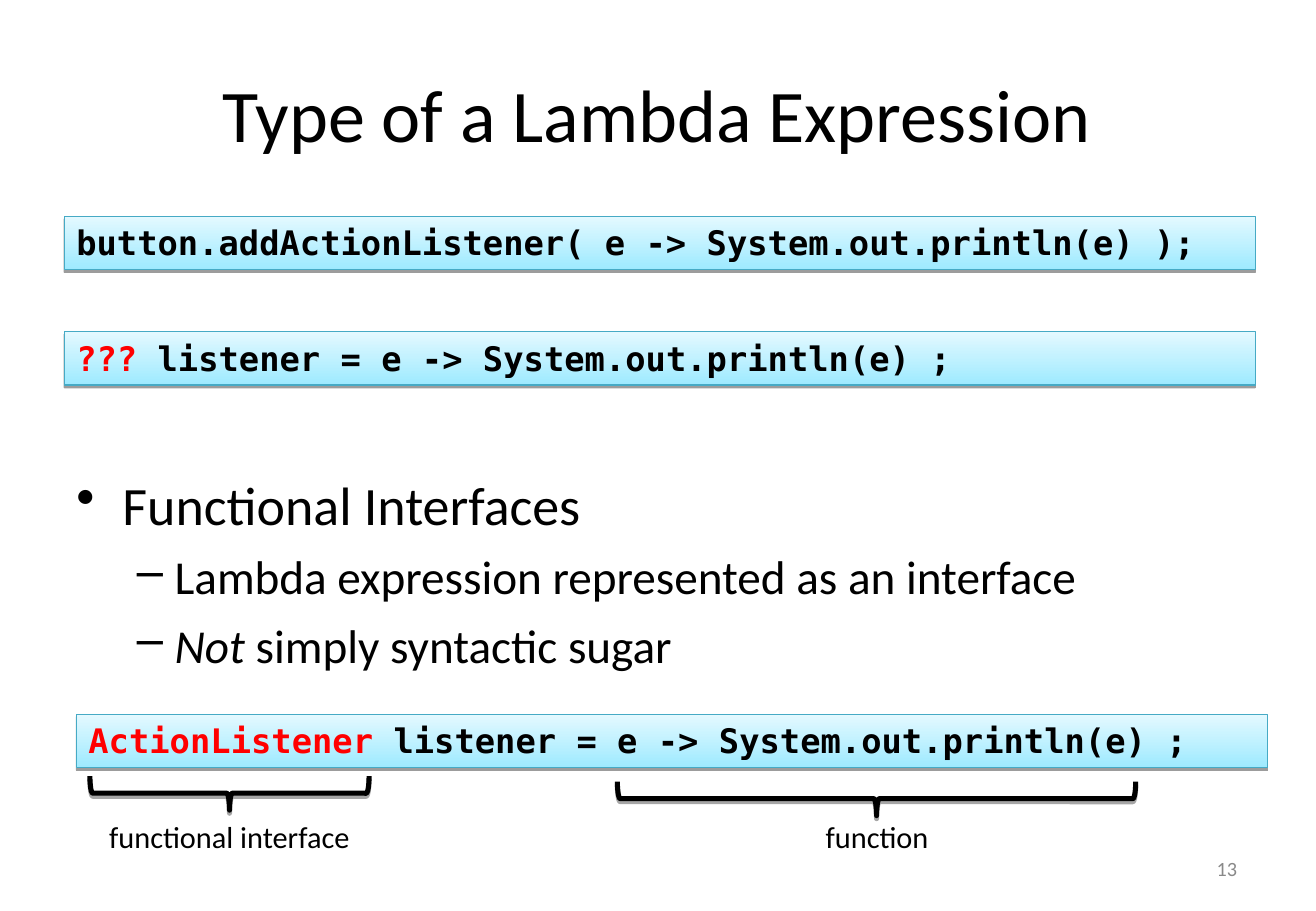
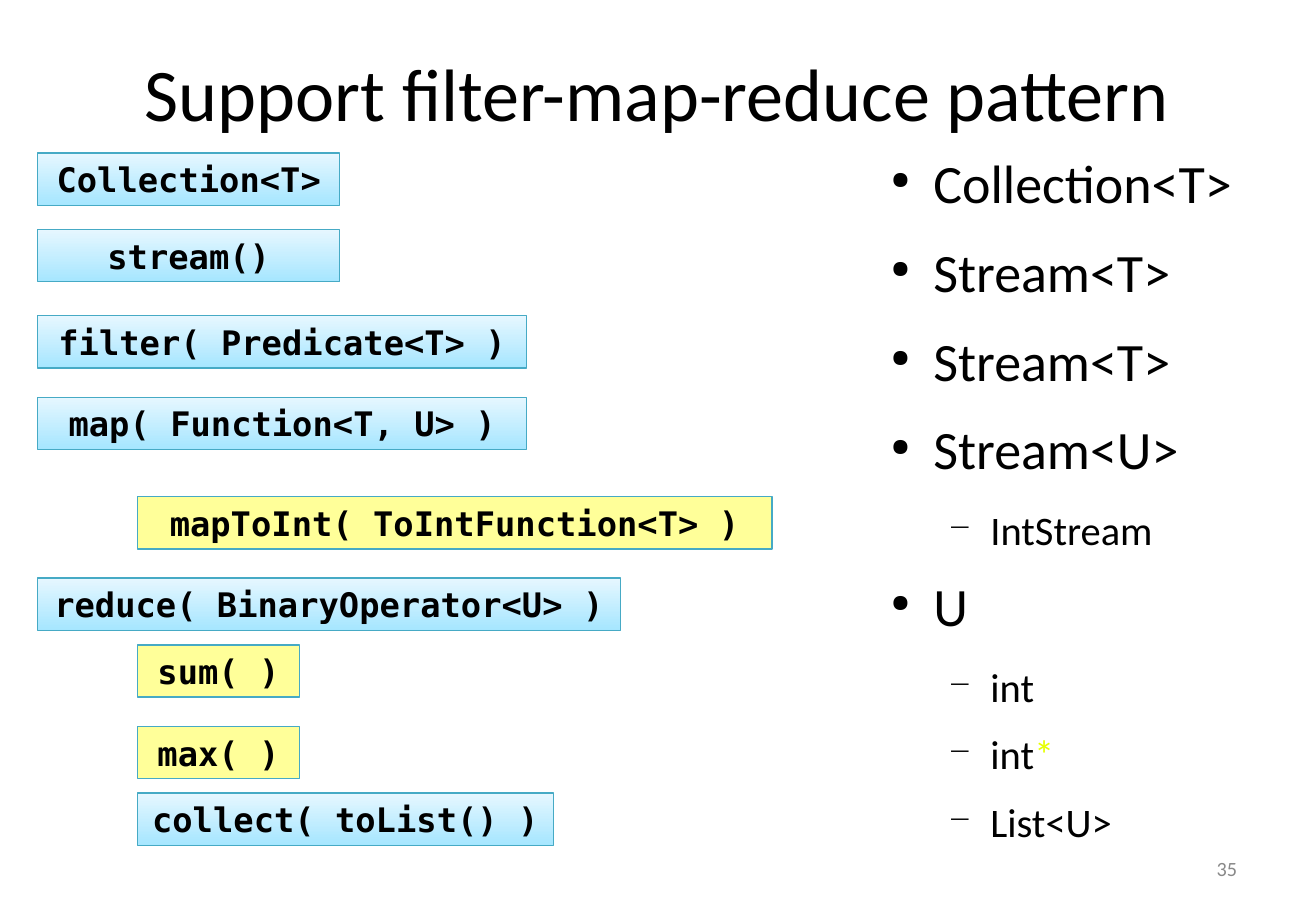
from dataclasses import dataclass
from typing import Optional

import pptx
import pptx.dml.color
import pptx.enum.shapes
import pptx.enum.text
import pptx.oxml.ns
import pptx.util
from lxml import etree

RGB = pptx.dml.color.RGBColor
ALIGN = pptx.enum.text.PP_ALIGN
ANCHOR = pptx.enum.text.MSO_ANCHOR
SHAPE = pptx.enum.shapes.MSO_SHAPE

PX = 9144  # 100 px to the inch
WIDE, HIGH = 1084, 750

BLACK = RGB(0x00, 0x00, 0x00)
RED = RGB(0xFF, 0x00, 0x00)
LIME = RGB(0xE6, 0xFF, 0x00)
GREY = RGB(0x89, 0x89, 0x89)
TEAL = RGB(0x46, 0xAA, 0xC5)
YELLOW = RGB(0xFF, 0xFF, 0x99)
AQUA = (RGB(0xE4, 0xF9, 0xFF), RGB(0x9E, 0xEA, 0xFF))
SKY = (RGB(0xE6, 0xF7, 0xFF), RGB(0xA6, 0xE6, 0xFF))

SANS, MONO = "Calibri", "DejaVu Sans Mono"


@dataclass(frozen=True)
class Run:
    text: str
    color: Optional[RGB] = None
    italic: bool = False


@dataclass(frozen=True)
class Style:
    size: int
    font: str = SANS
    color: RGB = BLACK
    bold: bool = False
    align: ALIGN = ALIGN.LEFT


@dataclass(frozen=True)
class Bullet:
    mark: str
    left: int
    hang: int
    size: int
    scale: int = 100
    before: float = 0
    after: float = 0
    level: int = 0


@dataclass(frozen=True)
class Item:
    bullet: Bullet
    runs: tuple[Run, ...]


@dataclass(frozen=True)
class Code:
    x: int
    y: int
    width: int
    runs: tuple[Run, ...]
    fill: object = SKY


@dataclass(frozen=True)
class Brace:
    x: int
    y: int
    width: int
    label: str


TITLE = Style(44, align=ALIGN.CENTER)
LABEL = Style(18, align=ALIGN.CENTER)
PAGE = Style(12, color=GREY, align=ALIGN.RIGHT)

POINT = Bullet("•", 38, 38, 32, before=8)
DASH = Bullet("–", 81, 31, 28, before=7, level=1)
DOT = Bullet("●", 47, 35, 32, scale=45, after=14.3)
MINUS = Bullet("−", 94, 35, 24, scale=75, after=11.4, level=1)

LISTENER = Run(" listener = e -> System.out.println(e) ;")
LINES = (
    Code(53, 178, 981, (Run("button.addActionListener( e -> System.out.println(e) );"),), AQUA),
    Code(53, 273, 981, (Run("???", RED), LISTENER), AQUA),
    Code(63, 588, 981, (Run("ActionListener", RED), LISTENER), AQUA),
)
BRACES = (
    Brace(74, 639, 230, "functional interface"),
    Brace(509, 643, 427, "function"),
)
FACES = (
    Item(POINT, (Run("Functional Interfaces"),)),
    Item(DASH, (Run("Lambda expression represented as an interface"),)),
    Item(DASH, (Run("Not", italic=True), Run(" simply syntactic sugar"))),
)

EDGE, INSET = 31, 113
STEPS = (
    Code(EDGE, 126, 249, (Run("Collection<T>"),)),
    Code(EDGE, 189, 249, (Run("stream()"),)),
    Code(EDGE, 260, 403, (Run("filter( Predicate<T> )"),)),
    Code(EDGE, 327, 403, (Run("map( Function<T, U> )"),)),
    Code(INSET, 409, 523, (Run("mapToInt( ToIntFunction<T> )"),), YELLOW),
    Code(EDGE, 476, 480, (Run("reduce( BinaryOperator<U> )"),)),
    Code(INSET, 531, 134, (Run("sum( )"),), YELLOW),
    Code(INSET, 598, 134, (Run("max( )"),), YELLOW),
    Code(INSET, 653, 343, (Run("collect( toList() )"),)),
)
TYPES = (
    Item(DOT, (Run("Collection<T>"),)),
    Item(DOT, (Run("Stream<T>"),)),
    Item(DOT, (Run("Stream<T>"),)),
    Item(DOT, (Run("Stream<U>"),)),
    Item(MINUS, (Run("IntStream"),)),
    Item(DOT, (Run("U"),)),
    Item(MINUS, (Run("int"),)),
    Item(MINUS, (Run("int"), Run("*", LIME))),
    Item(MINUS, (Run("List<U>"),)),
)


def px(*sizes: int) -> list[int]:
    return [size * PX for size in sizes]


def child(node, tag: str, **attrs):
    return etree.SubElement(node, pptx.oxml.ns.qn(tag), attrs)


def write(para, runs: tuple[Run, ...], style: Style) -> None:
    para.alignment = style.align
    font = para.font
    font.size = pptx.util.Pt(style.size)
    font.name = style.font
    font.bold = style.bold
    font.color.rgb = style.color
    for part in runs:
        run = para.add_run()
        run.text = part.text
        if part.color is not None:
            run.font.color.rgb = part.color
        if part.italic:
            run.font.italic = True


def add_text(slide, x: int, y: int, width: int, height: int, text: str,
             style: Style, wrap: bool = True, anchor: ANCHOR = ANCHOR.MIDDLE) -> None:
    frame = slide.shapes.add_textbox(*px(x, y, width, height)).text_frame
    frame.word_wrap = wrap
    frame.vertical_anchor = anchor
    write(frame.paragraphs[0], (Run(text),), style)


def mark(para, bullet: Bullet) -> None:
    """Give the paragraph its bullet, indent and level."""
    para.level = bullet.level
    props = para._p.get_or_add_pPr()
    props.set("marL", str(bullet.left * PX))
    props.set("indent", str(-bullet.hang * PX))
    child(child(props, "a:buClr"), "a:srgbClr", val=str(BLACK))
    child(props, "a:buSzPct", val=str(bullet.scale * 1000))
    child(props, "a:buChar", char=bullet.mark)


def add_list(slide, x: int, y: int, width: int, height: int,
             items: tuple[Item, ...]) -> None:
    frame = slide.shapes.add_textbox(*px(x, y, width, height)).text_frame
    frame.word_wrap = True
    for index, item in enumerate(items):
        para = frame.add_paragraph() if index else frame.paragraphs[0]
        bullet = item.bullet
        mark(para, bullet)
        para.space_before = pptx.util.Pt(bullet.before if index else 0)
        para.space_after = pptx.util.Pt(bullet.after)
        write(para, item.runs, Style(bullet.size))


def shade(shape, alpha: int, drop: float) -> None:
    """Cast a sharp black shadow straight down."""
    effects = shape._element.spPr.find(pptx.oxml.ns.qn("a:effectLst"))
    outer = child(effects, "a:outerShdw", blurRad="0", dist=str(pptx.util.Pt(drop)),
                  dir="5400000", rotWithShape="0")
    color = child(outer, "a:srgbClr", val=str(BLACK))
    child(color, "a:alpha", val=str(alpha * 1000))


def add_shape(slide, kind: SHAPE, box: list[int], line: RGB, weight: float):
    shape = slide.shapes.add_shape(kind, *box)
    shape.shadow.inherit = False
    shape.line.color.rgb = line
    shape.line.width = pptx.util.Pt(weight)
    return shape


def add_code(slide, code: Code, height: int, align: ALIGN):
    box = px(code.x, code.y, code.width, height)
    shape = add_shape(slide, SHAPE.RECTANGLE, box, TEAL, 0.75)
    if isinstance(code.fill, RGB):
        shape.fill.solid()
        shape.fill.fore_color.rgb = code.fill
    else:
        shape.fill.gradient()
        shape.fill.gradient_angle = 270
        for stop, color in zip(shape.fill.gradient_stops, code.fill):
            stop.color.rgb = color
    frame = shape.text_frame
    frame.vertical_anchor = ANCHOR.TOP
    write(frame.paragraphs[0], code.runs, Style(20, MONO, bold=True, align=align))
    return shape


def add_brace(slide, brace: Brace) -> None:
    """Draw a brace that opens upward, with its label below."""
    depth = 28
    shift = (brace.width - depth) // 2
    box = px(brace.x + shift, brace.y - shift, depth, brace.width)
    shape = add_shape(slide, SHAPE.RIGHT_BRACE, box, BLACK, 3)
    shape.rotation = 90
    shape.fill.background()
    shade(shape, 35, 1.8)
    add_text(slide, brace.x, 669, brace.width, 40, brace.label, LABEL,
             wrap=False, anchor=ANCHOR.TOP)


def add_slide(deck, title: str, top: int, page: int):
    slide = deck.slides.add_slide(deck.slide_layouts[6])
    add_text(slide, 54, top, 975, 125, title, TITLE)
    add_text(slide, 776, 695, 253, 40, str(page), PAGE)
    return slide


def draw_type(deck) -> None:
    slide = add_slide(deck, "Type of a Lambda Expression", 30, 13)
    add_list(slide, 53, 383, 975, 197, FACES)
    for code in LINES:
        shade(add_code(slide, code, 44, ALIGN.LEFT), 38, 1.6)
    for brace in BRACES:
        add_brace(slide, brace)


def draw_steps(deck) -> None:
    slide = add_slide(deck, "Support filter-map-reduce pattern", 13, 35)
    add_list(slide, 712, 118, 367, 63, TYPES)
    for code in STEPS:
        add_code(slide, code, 43, ALIGN.CENTER)


def main() -> None:
    deck = pptx.Presentation()
    deck.slide_width, deck.slide_height = px(WIDE, HIGH)
    draw_type(deck)
    draw_steps(deck)
    deck.save("out.pptx")


if __name__ == "__main__":
    main()
